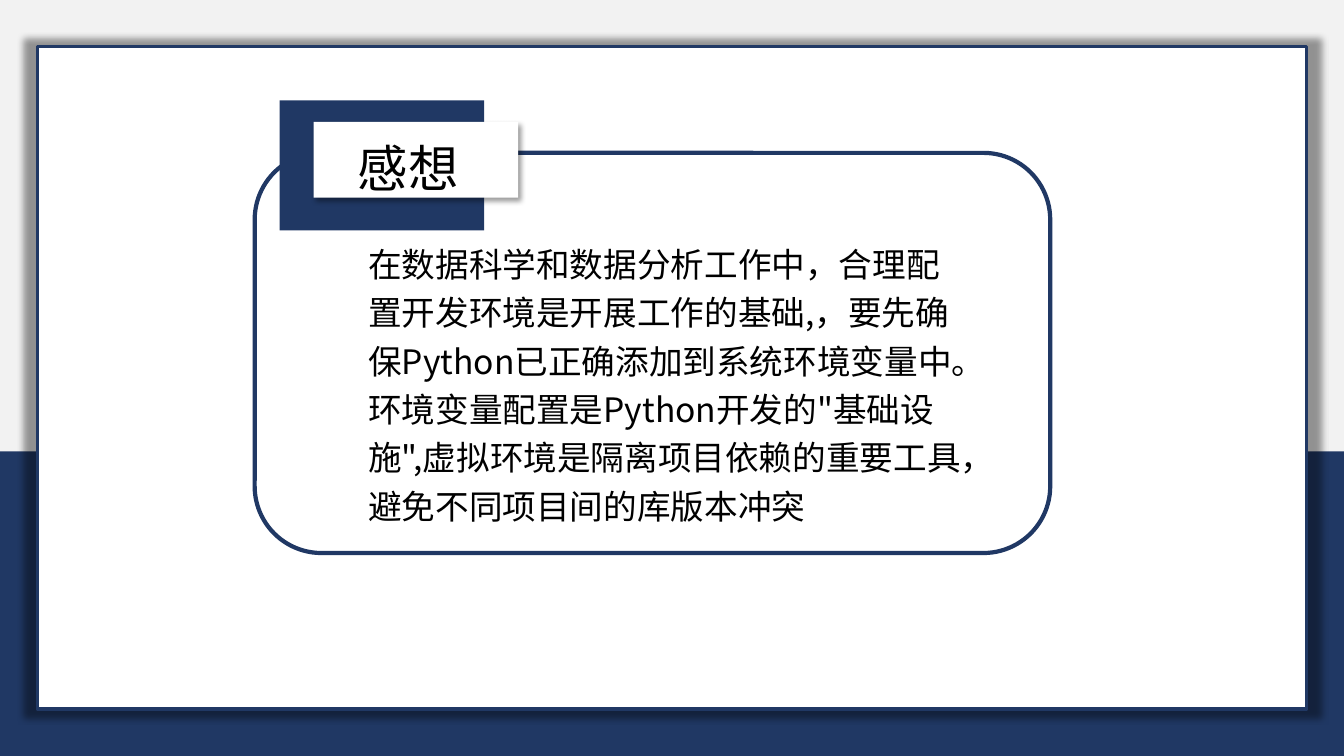
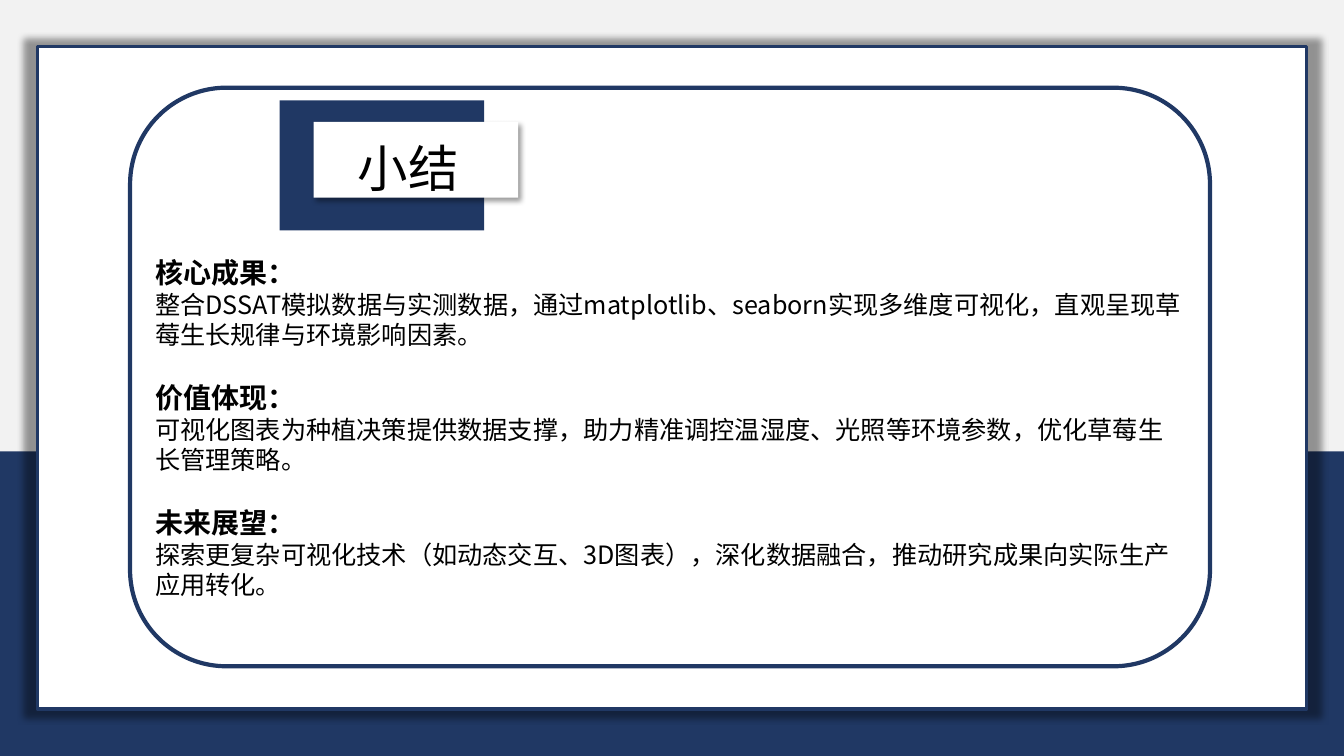
"""Build the two closing slides: reflections and summary."""
from lxml import etree
from pptx import Presentation
from pptx import util as u
from pptx.dml.color import RGBColor
from pptx.enum import shapes, text
from pptx.oxml.ns import qn

NAVY = RGBColor(0x20, 0x38, 0x64)
WHITE = RGBColor(0xFF, 0xFF, 0xFF)
BLACK = RGBColor(0x00, 0x00, 0x00)
PALE = RGBColor(0xF2, 0xF2, 0xF2)
FONT = "Noto Sans CJK SC"
WIDTH, HEIGHT = u.Inches(13.33), u.Inches(7.5)
RECT = shapes.MSO_SHAPE.RECTANGLE
ROUNDED = shapes.MSO_SHAPE.ROUNDED_RECTANGLE

THOUGHTS = (
    "在数据科学和数据分析工作中，合理配置开发环境是开展工作的基础,，"
    "要先确保Python已正确添加到系统环境变量中。环境变量配置是Python开发的\"基础设施\","
    "虚拟环境是隔离项目依赖的重要工具，避免不同项目间的库版本冲突"
)
SUMMARY = [
    ("核心成果：", "整合DSSAT模拟数据与实测数据，通过matplotlib、seaborn实现多维度可视化，"
                "直观呈现草莓生长规律与环境影响因素。"),
    ("价值体现：", "可视化图表为种植决策提供数据支撑，助力精准调控温湿度、光照等环境参数，"
                "优化草莓生长管理策略。"),
    ("未来展望：", "探索更复杂可视化技术（如动态交互、3D图表），深化数据融合，"
                "推动研究成果向实际生产应用转化。"),
]


def place(left, top, width, height):
    """Turn percentages of the slide into lengths."""
    return (int(WIDTH * left / 100), int(HEIGHT * top / 100),
            int(WIDTH * width / 100), int(HEIGHT * height / 100))


def add_panel(page, area, kind=RECT, fill=None, line=None):
    """Draw a flat shape; line is a width in points."""
    panel = page.shapes.add_shape(kind, *place(*area))
    panel.shadow.inherit = False
    if fill is None:
        panel.fill.background()
    else:
        panel.fill.solid()
        panel.fill.fore_color.rgb = fill
    if line is None:
        panel.line.fill.background()
    else:
        panel.line.color.rgb = NAVY
        panel.line.width = u.Pt(line)
    return panel


def add_shadow(panel, **settings):
    """Give a shape a soft black shadow at 40% opacity."""
    effects = panel.element.spPr.find(qn("a:effectLst"))
    shadow = etree.SubElement(effects, qn("a:outerShdw"), rotWithShape="0", **settings)
    colour = etree.SubElement(shadow, qn("a:srgbClr"), val=str(BLACK))
    etree.SubElement(colour, qn("a:alpha"), val="40000")


def add_text(page, area, lines, spacing=1.0):
    """Write lines given as (wording, size, bold, space before)."""
    box = page.shapes.add_textbox(*place(*area))
    frame = box.text_frame
    frame.word_wrap = True
    frame.vertical_anchor = text.MSO_ANCHOR.TOP
    for index, (wording, size, bold, gap) in enumerate(lines):
        para = frame.add_paragraph() if index else frame.paragraphs[0]
        para.text = wording
        para.line_spacing = spacing
        para.space_before = u.Pt(gap)
        para.font.size = u.Pt(size)
        para.font.bold = bold
        para.font.color.rgb = BLACK
        para.font.name = FONT
        style = para._p.pPr.find(qn("a:defRPr"))
        etree.SubElement(style, qn("a:ea"), typeface=FONT)


def add_page(deck, title, outline):
    """Add a slide with the shared frame, outline and title tab."""
    page = deck.slides.add_slide(deck.slide_layouts[6])
    page.background.fill.solid()
    page.background.fill.fore_color.rgb = PALE
    add_panel(page, (0, 59.7, 100, 40.3), fill=NAVY)
    sheet = add_panel(page, (2.78, 6.2, 94.45, 87.6), fill=WHITE, line=2.25)
    add_shadow(sheet, blurRad=str(u.Pt(5)), sx="102000", sy="102000", algn="ctr")
    add_panel(page, outline, kind=ROUNDED, line=3)
    add_panel(page, (20.8, 13.27, 15.23, 17.2), fill=NAVY)
    label = add_panel(page, (23.33, 16.13, 15.23, 10), fill=WHITE)
    add_shadow(label, blurRad=str(u.Pt(4)), dist=str(u.Pt(3)), dir="2700000", algn="tl")
    add_text(page, (25.88, 17.47, 11.18, 8), [(title, 36, False, 0)])
    return page


def main():
    """Build and save the deck."""
    deck = Presentation()
    deck.slide_width, deck.slide_height = WIDTH, HEIGHT

    page = add_page(deck, "感想", (18.95, 20.22, 59.19, 52.93))
    add_text(page, (26.67, 30.53, 46.44, 33.73), [(THOUGHTS, 24, False, 0)], spacing=1.2)

    page = add_page(deck, "小结", (9.68, 11.6, 80.35, 76.53))
    lines = []
    for index, (heading, detail) in enumerate(SUMMARY):
        lines += [(heading, 20, True, 22 if index else 0), (detail, 18, False, 0)]
    add_text(page, (10.8, 33.2, 77.94, 55.2), lines)

    deck.save("out.pptx")


if __name__ == "__main__":
    main()
